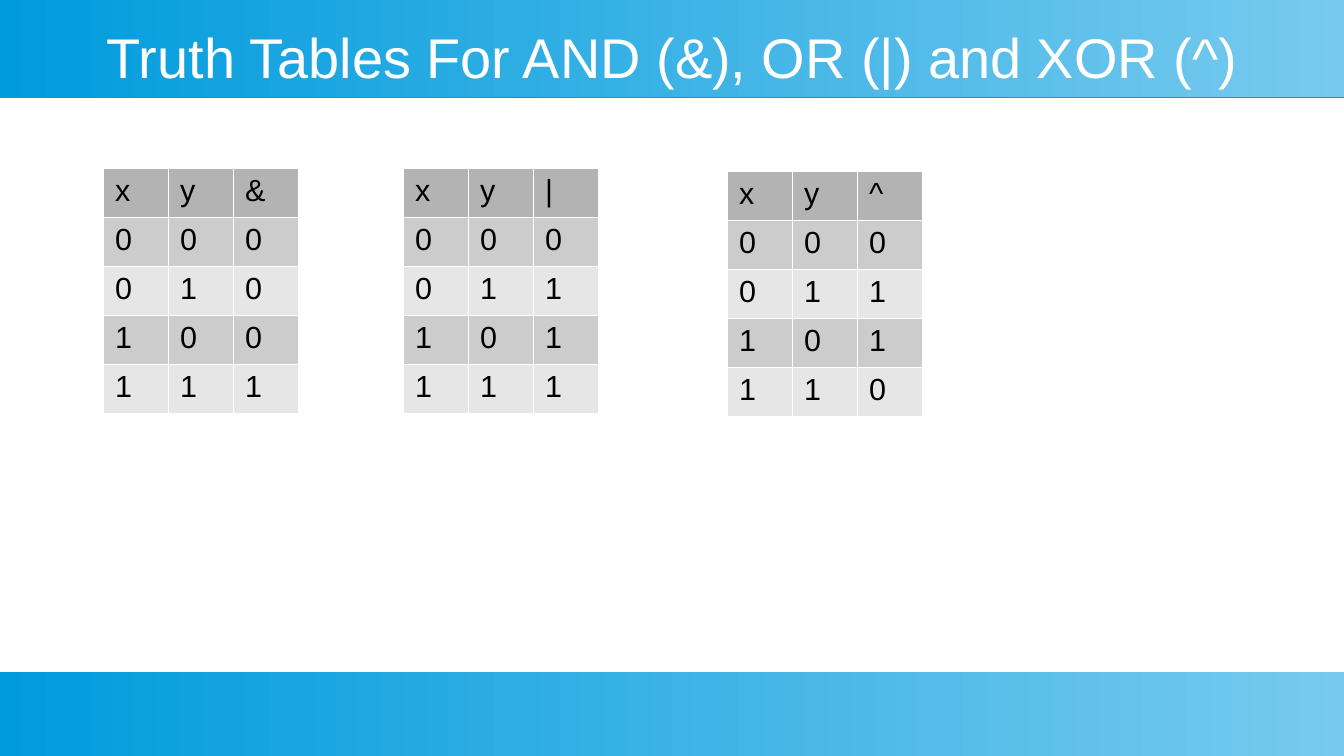
"""Build a slide with the truth tables for AND, OR and XOR."""
from itertools import product

from lxml.etree import SubElement
from pptx import Presentation
from pptx.dml.color import RGBColor
from pptx.enum.shapes import MSO_SHAPE
from pptx.enum.text import MSO_ANCHOR, PP_ALIGN
from pptx.oxml import parse_xml
from pptx.oxml.ns import nsdecls, qn
from pptx.util import Pt

TITLE = "Truth Tables For AND (&), OR (|) and XOR (^)"
TABLES = [
    ("&", "0001", (103, 168)),
    ("|", "0111", (403, 168)),
    ("^", "0110", (727, 171)),
]
BANDS = [(0, 97), (672, 84)]

PX = 7495
WIDTH, HEIGHT = 1344, 756
COL, ROW = 65, 49
FONT = "Arial"
BLUE = RGBColor(0x00, 0x9B, 0xDD)
SKY = RGBColor(0x77, 0xCA, 0xEE)
WHITE = RGBColor(0xFF, 0xFF, 0xFF)
BLACK = RGBColor(0x00, 0x00, 0x00)
HEADER = RGBColor(0xB3, 0xB3, 0xB3)
STRIPES = [RGBColor(0xCC, 0xCC, 0xCC), RGBColor(0xE6, 0xE6, 0xE6)]


def px(*lengths):
    return [n * PX for n in lengths]


def style(p, size, color):
    font = p.runs[0].font
    font.name, font.size, font.bold = FONT, Pt(size), False
    font.color.rgb = color


def add_title(s):
    title = s.shapes.title
    title.left, title.top, title.width, title.height = px(48, 24, 1249, 64)
    tf = title.text_frame
    tf.text = TITLE
    tf.margin_left = tf.margin_top = tf.margin_right = tf.margin_bottom = 0
    tf.vertical_anchor = MSO_ANCHOR.MIDDLE
    tf.paragraphs[0].alignment = PP_ALIGN.CENTER
    style(tf.paragraphs[0], 33, WHITE)


def add_band(s, top, height):
    band = s.shapes.add_shape(MSO_SHAPE.RECTANGLE, *px(0, top, WIDTH, height))
    band.line.fill.background()
    band.fill.gradient()
    band.fill.gradient_angle = 0
    for stop, color in zip(band.fill.gradient_stops, (BLUE, SKY)):
        stop.color.rgb = color
    band.shadow.inherit = False
    effects = band.element.spPr.find(qn("a:effectLst"))
    effects.append(parse_xml(
        f'<a:outerShdw {nsdecls("a")} blurRad="0" dist="{Pt(0.9)}" dir="5400000">'
        f'<a:srgbClr val="{BLUE}"/></a:outerShdw>'))
    s.shapes.title.element.addprevious(band.element)


def format_cell(cell, text, fill):
    cell.text = text
    style(cell.text_frame.paragraphs[0], 18, BLACK)
    tc_pr = cell._tc.get_or_add_tcPr()
    for side in ("lnL", "lnR", "lnT", "lnB"):
        line = SubElement(tc_pr, qn(f"a:{side}"), w=str(Pt(0.06)))
        solid = SubElement(line, qn("a:solidFill"))
        SubElement(solid, qn("a:srgbClr"), val=str(WHITE))
    cell.fill.solid()
    cell.fill.fore_color.rgb = fill


def add_truth_table(s, operator, results, place):
    inputs = product("01", repeat=2)
    rows = [("x", "y", operator)] + [(x, y, z) for (x, y), z in zip(inputs, results)]
    size = (3 * COL, len(rows) * ROW)
    table = s.shapes.add_table(len(rows), 3, *px(*place, *size)).table
    table.first_row = table.horz_banding = False
    for i, row in enumerate(rows):
        fill = STRIPES[(i - 1) % 2] if i else HEADER
        for j, text in enumerate(row):
            format_cell(table.cell(i, j), text, fill)


def main():
    prs = Presentation()
    prs.slide_width, prs.slide_height = px(WIDTH, HEIGHT)
    s = prs.slides.add_slide(prs.slide_layouts[5])
    add_title(s)
    for top, height in BANDS:
        add_band(s, top, height)
    for operator, results, place in TABLES:
        add_truth_table(s, operator, results, place)
    prs.save("out.pptx")


if __name__ == "__main__":
    main()
